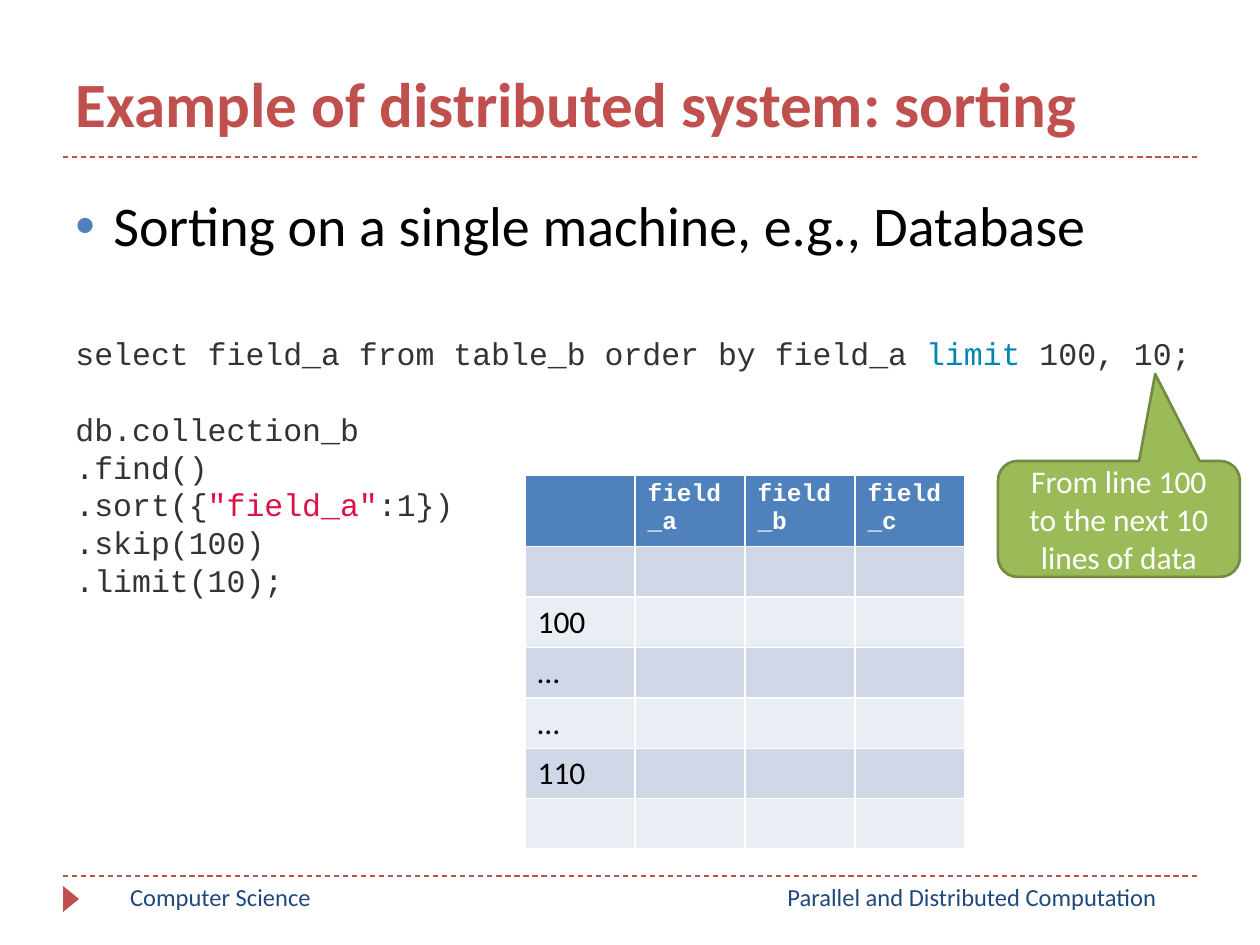
from lxml.etree import SubElement
from pptx import Presentation
from pptx.dml.color import RGBColor
from pptx.enum.dml import MSO_LINE
from pptx.enum.shapes import MSO_CONNECTOR, MSO_SHAPE
from pptx.enum.text import MSO_ANCHOR, PP_ALIGN
from pptx.oxml.ns import qn
from pptx.util import Emu, Pt

RED = RGBColor(0xC0, 0x50, 0x4D)
NAVY = RGBColor(0x1F, 0x49, 0x7D)
BLUE = RGBColor(0x4F, 0x81, 0xBD)
GREEN = RGBColor(0x9B, 0xBB, 0x59)
DARK_GREEN = RGBColor(0x73, 0x8A, 0x42)
BLACK = RGBColor(0, 0, 0)
WHITE = RGBColor(255, 255, 255)
CODE = RGBColor(0x33, 0x33, 0x33)
KEYWORD = RGBColor(0x00, 0x86, 0xB3)
STRING = RGBColor(0xDD, 0x11, 0x44)
BANDS = [RGBColor(0xE9, 0xED, 0xF4), RGBColor(0xD0, 0xD8, 0xE8)]

TITLE = "Example of distributed system: sorting"
BULLET = "Sorting on a single machine, e.g., Database"
FOOTERS = [("Parallel and Distributed Computation", 746, 452),
           ("Computer Science", 84, 273)]
SQL = [[("select field_a from table_b order by field_a ", CODE),
        ("limit", KEYWORD), (" 100, 10;", CODE)]]
QUERY = [
    [("db.collection_b", CODE)],
    [(".find()", CODE)],
    [(".sort({", CODE), ('"field_a"', STRING), (":1})", CODE)],
    [(".skip(100)", CODE)],
    [(".limit(10);", CODE)],
]
HEADER = ["", "field_a", "field_b", "field_c"]
ROW_LABELS = ["", "100", "…", "…", "110", ""]
CALLOUT = "From line 100 to the next 10 lines of data"
CODE_LINE = Pt(21.6)


def px(n):
    return Emu(round(n * 914400 / 126))


def box(*lengths):
    return [px(n) for n in lengths]


def add_text(p, text, size=18, color=BLACK, font="Calibri", bold=False, align=None):
    if align is not None:
        p.alignment = align
    r = p.add_run()
    r.text = text
    r.font.size, r.font.name, r.font.bold = Pt(size), font, bold
    r.font.color.rgb = color


def add_textbox(s, *lengths):
    tf = s.shapes.add_textbox(*box(*lengths)).text_frame
    tf.word_wrap = True
    return tf


def add_rule(s, y):
    line = s.shapes.add_connector(MSO_CONNECTOR.STRAIGHT, *box(63, y, 1197, y))
    line.line.color.rgb = RED
    line.line.width = Pt(0.75)
    line.line.dash_style = MSO_LINE.DASH
    SubElement(line._element.spPr, qn("a:effectLst"))


def add_filled(s, kind, fill, *lengths):
    sp = s.shapes.add_shape(kind, *box(*lengths))
    sp.shadow.inherit = False
    sp.fill.solid()
    sp.fill.fore_color.rgb = fill
    sp.line.fill.background()
    return sp


def add_bullet(p, color):
    pPr = p._p.get_or_add_pPr()
    pPr.set("marL", str(px(38)))
    pPr.set("indent", str(-px(38)))
    SubElement(SubElement(pPr, qn("a:buClr")), qn("a:srgbClr"), val=str(color))
    SubElement(pPr, qn("a:buFont"), typeface="Arial")
    SubElement(pPr, qn("a:buChar"), char="•")


def add_code(s):
    tf = add_textbox(s, 63, 328, 1155, 280)
    for i, line in enumerate(SQL + QUERY):
        p = tf.paragraphs[0] if i == 0 else tf.add_paragraph()
        p.line_spacing = CODE_LINE
        if i == len(SQL):
            p.space_before = CODE_LINE
        for text, color in line:
            add_text(p, text, color=color, font="Courier New")


def add_data_table(s):
    rows = [HEADER] + [[label, "", "", ""] for label in ROW_LABELS]
    table = s.shapes.add_table(len(rows), len(HEADER), *box(525, 475, 440, 376)).table
    for col in table.columns:
        col.width = px(110)
    for i, row in enumerate(rows):
        table.rows[i].height = px(50 if i else 70)
        for j, text in enumerate(row):
            cell = table.cell(i, j)
            cell.fill.solid()
            cell.fill.fore_color.rgb = BANDS[i % 2] if i else BLUE
            p = cell.text_frame.paragraphs[0]
            if text and i:
                add_text(p, text)
            elif text:
                add_text(p, text, size=14, color=WHITE, font="Courier New", bold=True)


def main():
    prs = Presentation()
    prs.slide_width, prs.slide_height = box(1260, 945)
    s = prs.slides.add_slide(prs.slide_layouts[5])

    for y in (876, 157):
        add_rule(s, y)
    marker = add_filled(s, MSO_SHAPE.ISOSCELES_TRIANGLE, RED, 58, 891, 26, 16)
    marker.rotation = 90

    title = s.shapes.title
    title.left, title.top, title.width, title.height = box(63, 10, 1134, 136)
    title.text_frame.vertical_anchor = MSO_ANCHOR.BOTTOM
    add_text(title.text_frame.paragraphs[0], TITLE, size=36, color=RED, bold=True,
             align=PP_ALIGN.LEFT)

    for text, x, w in FOOTERS:
        add_text(add_textbox(s, x, 876, w, 50).paragraphs[0], text, size=14,
                 color=NAVY, align=PP_ALIGN.CENTER)

    p = add_textbox(s, 63, 168, 1134, 126).paragraphs[0]
    p.line_spacing = 1.25
    add_bullet(p, BLUE)
    add_text(p, BULLET, size=32)

    add_code(s)
    add_data_table(s)

    callout = add_filled(s, MSO_SHAPE.ROUNDED_RECTANGULAR_CALLOUT, GREEN,
                         998, 461, 242, 116)
    for i, value in enumerate((0.15, -1.25, 0.17)):
        callout.adjustments[i] = value
    callout.line.color.rgb = DARK_GREEN
    callout.line.width = Pt(1.5)
    callout.text_frame.word_wrap = True
    callout.text_frame.vertical_anchor = MSO_ANCHOR.MIDDLE
    add_text(callout.text_frame.paragraphs[0], CALLOUT, color=WHITE,
             align=PP_ALIGN.CENTER)

    prs.save("out.pptx")


if __name__ == "__main__":
    main()
